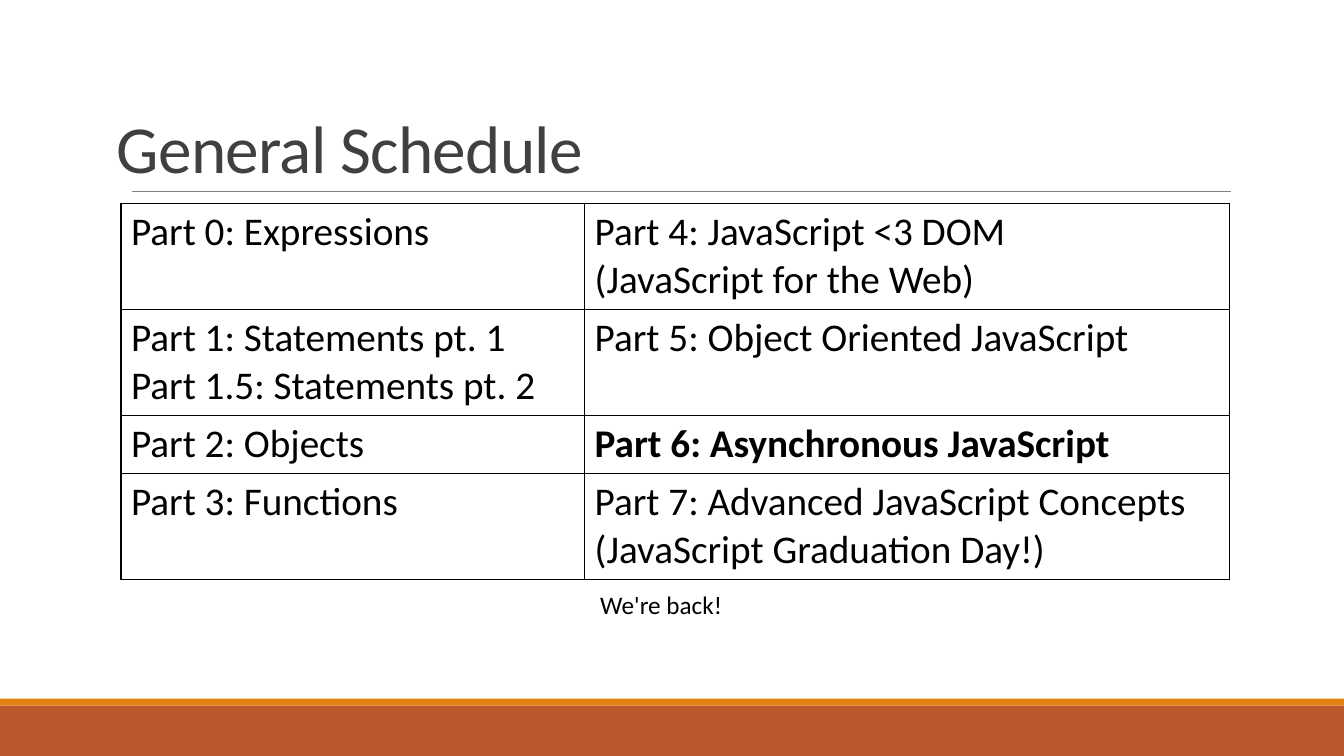
from dataclasses import dataclass

import lxml.etree
import pptx
import pptx.dml.color
import pptx.enum.shapes
import pptx.enum.text
import pptx.oxml.ns
import pptx.util

Pt = pptx.util.Pt
qn = pptx.oxml.ns.qn


@dataclass(frozen=True)
class Theme:
    font: str = "Calibri"
    title_size: float = 48
    table_size: float = 28
    note_size: float = 18
    title: str = "404040"
    text: str = "000000"
    rule: str = "808080"
    footer: str = "BD582C"
    accent: str = "E48312"


@dataclass(frozen=True)
class Bar:
    top: float
    height: float
    color: str


@dataclass(frozen=True)
class Entry:
    text: str
    bold: bool = False


THEME = Theme()
WIDTH, HEIGHT = 960, 540
BARS = [Bar(504, 36, THEME.footer), Bar(499, 5, THEME.accent)]
COLUMNS = [331.2, 460.8]
ROWS = [75.7, 75.7, 41.4, 75.7]
SCHEDULE = [
    (Entry("Part 0: Expressions"),
     Entry("Part 4: JavaScript <3 DOM\n(JavaScript for the Web)")),
    (Entry("Part 1: Statements pt. 1\nPart 1.5: Statements pt. 2"),
     Entry("Part 5: Object Oriented JavaScript")),
    (Entry("Part 2: Objects"),
     Entry("Part 6: Asynchronous JavaScript", bold=True)),
    (Entry("Part 3: Functions"),
     Entry("Part 7: Advanced JavaScript Concepts\n(JavaScript Graduation Day!)")),
]


def rgb(color: str) -> pptx.dml.color.RGBColor:
    return pptx.dml.color.RGBColor.from_string(color)


def write(tf, text: str, size: float, color: str, bold: bool = False):
    """Fill the first paragraph; a newline becomes a line break."""
    p = tf.paragraphs[0]
    p.text = text
    for r in p.runs:
        r.font.name = THEME.font
        r.font.size = Pt(size)
        r.font.bold = bold
        r.font.color.rgb = rgb(color)
    return p


def add_text(s, box: tuple, text: str, size: float, color: str):
    tf = s.shapes.add_textbox(*map(Pt, box)).text_frame
    tf.word_wrap = True
    return tf, write(tf, text, size, color)


def add_bar(s, bar: Bar) -> None:
    sp = s.shapes.add_shape(pptx.enum.shapes.MSO_SHAPE.RECTANGLE,
                            0, Pt(bar.top), Pt(WIDTH), Pt(bar.height))
    sp.shadow.inherit = False
    sp.fill.solid()
    sp.fill.fore_color.rgb = rgb(bar.color)
    sp.line.fill.background()


def add_rule(s, left: float, right: float, top: float) -> None:
    line = s.shapes.add_connector(pptx.enum.shapes.MSO_CONNECTOR.STRAIGHT,
                                  Pt(left), Pt(top), Pt(right), Pt(top))
    line.line.color.rgb = rgb(THEME.rule)
    line.line.width = Pt(0.5)
    lxml.etree.SubElement(line._element.spPr, qn("a:effectLst"))


def add_borders(cell) -> None:
    tc_pr = cell._tc.get_or_add_tcPr()
    for side in ("lnL", "lnR", "lnT", "lnB"):
        ln = lxml.etree.SubElement(tc_pr, qn(f"a:{side}"), w=str(Pt(1)))
        fill = lxml.etree.SubElement(ln, qn("a:solidFill"))
        lxml.etree.SubElement(fill, qn("a:srgbClr"), val=THEME.text)


def add_schedule(s, left: float, top: float) -> None:
    table = s.shapes.add_table(len(ROWS), len(COLUMNS), Pt(left), Pt(top),
                               Pt(sum(COLUMNS)), Pt(sum(ROWS))).table
    table.first_row = table.horz_banding = False
    for column, width in zip(table.columns, COLUMNS):
        column.width = Pt(width)
    for row, height, entries in zip(table.rows, ROWS, SCHEDULE):
        row.height = Pt(height)
        for cell, entry in zip(row.cells, entries):
            write(cell.text_frame, entry.text, THEME.table_size, THEME.text, entry.bold)
            add_borders(cell)
            cell.fill.background()


def main() -> None:
    prs = pptx.Presentation()
    prs.slide_width, prs.slide_height = Pt(WIDTH), Pt(HEIGHT)
    s = prs.slides.add_slide(prs.slide_layouts[6])

    # Footer bars and the rule under the title
    for bar in BARS:
        add_bar(s, bar)
    add_rule(s, 94.3, 879, 136.8)

    # Title
    tf, p = add_text(s, (76.3, 23, 792, 114.5), "General Schedule",
                     THEME.title_size, THEME.title)
    tf.vertical_anchor = pptx.enum.text.MSO_ANCHOR.BOTTOM
    p.line_spacing = 0.85
    p.runs[0]._r.get_or_add_rPr().set("spc", "-50")

    # Schedule table
    add_schedule(s, 86.4, 145.4)

    # Closing note
    tf, p = add_text(s, (108.7, 417.6, 727.2, 29), "We're back!",
                     THEME.note_size, THEME.text)
    tf.auto_size = pptx.enum.text.MSO_AUTO_SIZE.SHAPE_TO_FIT_TEXT
    p.alignment = pptx.enum.text.PP_ALIGN.CENTER

    prs.save("out.pptx")


if __name__ == "__main__":
    main()
